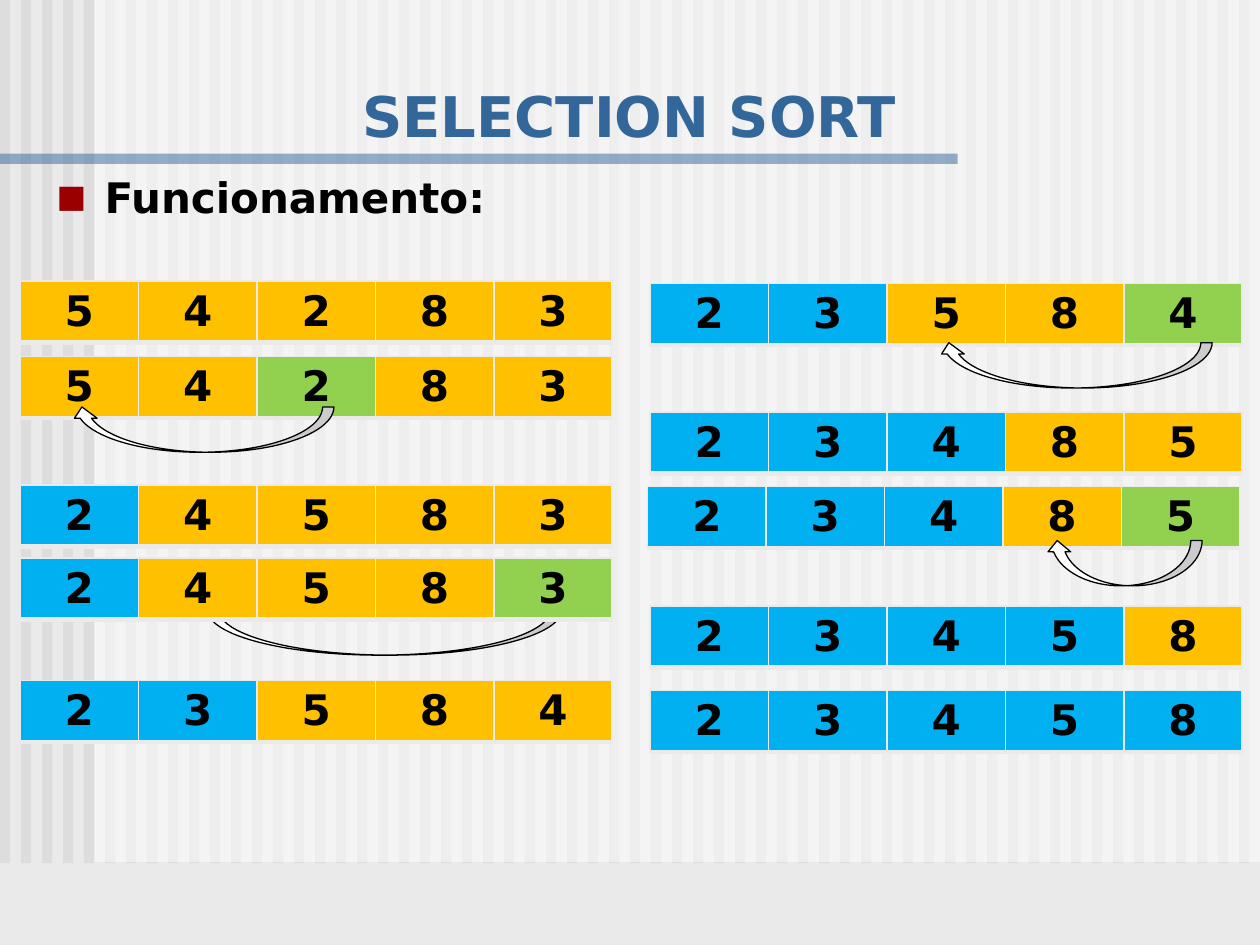
from lxml import etree
from pptx import Presentation, util as u
from pptx.dml.color import RGBColor
from pptx.enum import shapes, text
from pptx.oxml import ns

COLORS = {
    "background": "EAEAEA", "stripe": "DDDDDD", "white": "FFFFFF",
    "accent": "336699", "bullet": "9A0000", "ink": "000000",
    "pending": "FFC000", "sorted": "00B0F0", "minimum": "92D050",
}
FONT = "DejaVu Sans"
LEFT, RIGHT = 0.16, 5.16
CELL_WIDTH, ROW_HEIGHT = 0.94, 0.39

# Array states: left, top, values, sorted count, index of the minimum
STATES = [
    (LEFT, 2.23, "54283", 0, None),
    (LEFT, 2.83, "54283", 0, 2),
    (LEFT, 3.85, "24583", 1, None),
    (LEFT, 4.43, "24583", 1, 4),
    (LEFT, 5.40, "23584", 2, None),
    (RIGHT, 2.25, "23584", 2, 4),
    (RIGHT, 3.27, "23485", 3, None),
    (5.14, 3.86, "23485", 3, 4),
    (RIGHT, 4.81, "23458", 4, None),
    (RIGHT, 5.48, "23458", 5, None),
]
# Swap arrows: left, top, span
SWAP_BEHIND_ROW = (1.6, 4.84, 2.86)
SWAPS = [(0.56, 3.23, 2.09), (7.44, 2.72, 2.18), (8.3, 4.29, 1.24)]
ARROW_DEPTH = 0.36


def rgb(name):
    return RGBColor.from_string(COLORS[name])


def add_run(paragraph, words, size, color):
    run = paragraph.add_run()
    run.text = words
    run.font.name = FONT
    run.font.size = u.Pt(size)
    run.font.bold = True
    run.font.color.rgb = rgb(color)


def add_solid(parent, color):
    fill = etree.SubElement(parent, ns.qn("a:solidFill"))
    return etree.SubElement(fill, ns.qn("a:srgbClr"), val=COLORS[color])


def add_bar(group, left, top, width, height, color, opacity=None):
    bar = group.shapes.add_shape(
        shapes.MSO_SHAPE.RECTANGLE,
        *map(u.Inches, (left, top, width, height)))
    bar.shadow.inherit = False
    bar.fill.solid()
    bar.fill.fore_color.rgb = rgb(color)
    bar.line.fill.background()
    if opacity:
        tint = bar.fill._xPr.find(".//" + ns.qn("a:srgbClr"))
        etree.SubElement(tint, ns.qn("a:alpha"), val=str(opacity * 1000))


def add_backdrop(slide):
    slide.background.fill.solid()
    slide.background.fill.fore_color.rgb = rgb("background")
    backdrop = slide.shapes.add_group_shape()
    for i in range(60):
        add_bar(backdrop, i / 6, -0.65, 0.08, 7.5, "stripe")
    add_bar(backdrop, 0.75, -0.66, 9.26, 7.5, "white", 50)
    add_bar(backdrop, 0, 1.22, 7.6, 0.08, "accent", 50)


def place(slide, placeholder, left, top, width, height):
    placeholder.left, placeholder.top = u.Inches(left), u.Inches(top)
    placeholder.width, placeholder.height = u.Inches(width), u.Inches(height)
    # Bring it in front of the backdrop
    slide.shapes._spTree.append(placeholder._element)


def fill_title(slide):
    title = slide.shapes.title
    place(slide, title, 0.33, 0.59, 9.33, 0.64)
    title.text_frame.vertical_anchor = text.MSO_ANCHOR.BOTTOM
    title.text_frame.auto_size = text.MSO_AUTO_SIZE.SHAPE_TO_FIT_TEXT
    heading = title.text_frame.paragraphs[0]
    heading.alignment = text.PP_ALIGN.CENTER
    add_run(heading, "SELECTION SORT", 32, "accent")


def fill_body(slide):
    body = slide.placeholders[1]
    place(slide, body, 0.35, 1.31, 9.29, 5.67)
    body.text_frame.auto_size = text.MSO_AUTO_SIZE.NONE
    item = body.text_frame.paragraphs[0]
    item.alignment = text.PP_ALIGN.JUSTIFY
    item.space_before = u.Pt(4.8)
    # Square bullet with a hanging indent
    props = item._p.get_or_add_pPr()
    props.set("marL", str(u.Inches(0.38)))
    props.set("indent", str(u.Inches(-0.38)))
    bullet_color = etree.SubElement(props, ns.qn("a:buClr"))
    etree.SubElement(bullet_color, ns.qn("a:srgbClr"), val=COLORS["bullet"])
    etree.SubElement(props, ns.qn("a:buSzPct"), val="75000")
    etree.SubElement(props, ns.qn("a:buFont"), typeface=FONT)
    etree.SubElement(props, ns.qn("a:buChar"), char="■")
    add_run(item, "Funcionamento:", 24, "ink")


def set_borders(cell):
    props = cell._tc.get_or_add_tcPr()
    for i, (side, points) in enumerate(
            (("lnL", 1), ("lnR", 1), ("lnT", 1), ("lnB", 3))):
        border = etree.Element(ns.qn("a:" + side), w=str(u.Pt(points)))
        add_solid(border, "background")
        props.insert(i, border)


def add_state(slide, left, top, values, sorted_count, minimum):
    count = len(values)
    array = slide.shapes.add_table(
        1, count, u.Inches(left), u.Inches(top),
        u.Inches(CELL_WIDTH * count), u.Inches(ROW_HEIGHT)).table
    array.first_row = array.horz_banding = False
    for i, value in enumerate(values):
        array.columns[i].width = u.Inches(CELL_WIDTH)
        cell = array.cell(0, i)
        if i == minimum:
            status = "minimum"
        else:
            status = "sorted" if i < sorted_count else "pending"
        cell.fill.solid()
        cell.fill.fore_color.rgb = rgb(status)
        set_borders(cell)
        number = cell.text_frame.paragraphs[0]
        number.alignment = text.PP_ALIGN.CENTER
        add_run(number, value, 24, "ink")


def add_swap(slide, left, top, span):
    # The upright arrow is turned a quarter about its centre
    shift = (span - ARROW_DEPTH) / 2
    swap = slide.shapes.add_shape(
        shapes.MSO_SHAPE.CURVED_LEFT_ARROW,
        u.Inches(left + shift), u.Inches(top - shift),
        u.Inches(ARROW_DEPTH), u.Inches(span))
    swap.rotation = 90
    swap.shadow.inherit = False
    swap.fill.solid()
    swap.fill.fore_color.rgb = rgb("white")
    swap.line.color.rgb = rgb("ink")
    swap.line.width = u.Pt(0.75)


def main():
    deck = Presentation()
    deck.slide_width, deck.slide_height = u.Inches(10), u.Inches(7.5)
    slide = deck.slides.add_slide(deck.slide_layouts[1])
    add_backdrop(slide)
    fill_title(slide)
    fill_body(slide)
    # Sorting steps; one arrow tucks under its row
    add_swap(slide, *SWAP_BEHIND_ROW)
    for state in STATES:
        add_state(slide, *state)
    for swap in SWAPS:
        add_swap(slide, *swap)
    deck.save("out.pptx")


if __name__ == "__main__":
    main()
